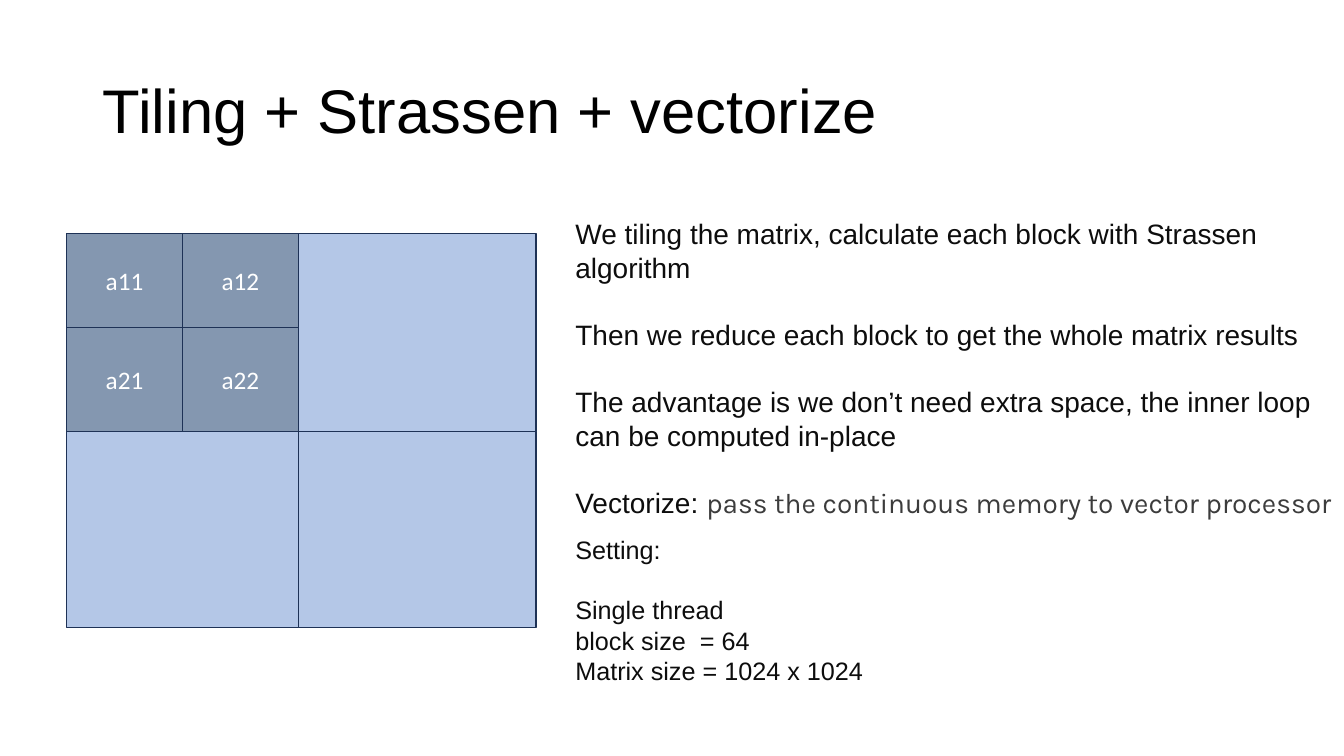
from dataclasses import dataclass
from itertools import pairwise, product

from pptx import Presentation
from pptx.dml.color import RGBColor
from pptx.enum.shapes import MSO_SHAPE as Preset
from pptx.enum.text import MSO_ANCHOR as Anchor, MSO_AUTO_SIZE as AutoSize, PP_ALIGN as Align
from pptx.slide import Slide
from pptx.text.text import _Paragraph as Paragraph
from pptx.util import Cm, Pt


@dataclass
class Grid:
    columns: list[float]
    rows: list[float]
    fill: str
    prefix: str = ""


@dataclass
class Line:
    text: str
    gap_lines: int = 0
    accent: str = ""


@dataclass
class Note:
    top: float
    width: float
    height: float
    size: int
    lines: list[Line]


NOTE_LEFT = 14.25
LINE_HEIGHT = 1.2

MATRIX_BLOCKS = Grid([1.68, 7.52, 13.51], [5.89, 10.87, 15.81], "B4C7E7")
INNER_BLOCKS = Grid([1.68, 4.6, 7.52], [5.89, 8.25, 10.87], "8497B0", "a")

NOTES = [
    Note(5.33, 19.65, 7.09, 20, [
        Line("We tiling the matrix, calculate each block with Strassen algorithm"),
        Line("Then we reduce each block to get the whole matrix results", 1),
        Line("The advantage is we don’t need extra space, the inner loop can be computed in-place", 1),
        Line("Vectorize: ", 1, "pass the continuous memory to vector processor"),
    ]),
    Note(13.34, 12.12, 4.11, 18, [
        Line("Setting:"),
        Line("Single thread", 1),
        Line("block size  = 64"),
        Line("Matrix size = 1024 x 1024"),
    ]),
]


def color(value: str) -> RGBColor:
    return RGBColor.from_string(value)


def write(paragraph: Paragraph, text: str, *, size: float, fill: str,
          font: str = "Arial", align: Align = Align.LEFT) -> None:
    paragraph.alignment = align
    run = paragraph.add_run()
    run.text = text
    run.font.size = Pt(size)
    run.font.name = font
    run.font.color.rgb = color(fill)


def draw_title(slide: Slide, text: str) -> None:
    title = slide.shapes.title
    title.left, title.top, title.width, title.height = Cm(2.34), Cm(1.02), Cm(21.16), Cm(3.68)
    title.text_frame.vertical_anchor = Anchor.MIDDLE
    paragraph = title.text_frame.paragraphs[0]
    paragraph.line_spacing = 0.9
    write(paragraph, text, size=44, fill="000000")


def draw_grid(slide: Slide, grid: Grid) -> None:
    cells = product(enumerate(pairwise(grid.rows), 1), enumerate(pairwise(grid.columns), 1))
    for (row, (top, bottom)), (column, (left, right)) in cells:
        block = slide.shapes.add_shape(
            Preset.RECTANGLE, Cm(left), Cm(top), Cm(right - left), Cm(bottom - top))
        block.shadow.inherit = False
        block.fill.solid()
        block.fill.fore_color.rgb = color(grid.fill)
        block.line.color.rgb = color("1E3256")
        block.line.width = Pt(1)
        if grid.prefix:
            block.text_frame.vertical_anchor = Anchor.MIDDLE
            write(block.text_frame.paragraphs[0], f"{grid.prefix}{row}{column}",
                  size=18, fill="FFFFFF", font="Calibri", align=Align.CENTER)


def draw_note(slide: Slide, note: Note) -> None:
    box = slide.shapes.add_textbox(Cm(NOTE_LEFT), Cm(note.top), Cm(note.width), Cm(note.height))
    frame = box.text_frame
    frame.word_wrap = True
    frame.auto_size = AutoSize.SHAPE_TO_FIT_TEXT
    pitch = note.size * LINE_HEIGHT
    for index, line in enumerate(note.lines):
        paragraph = frame.add_paragraph() if index else frame.paragraphs[0]
        paragraph.line_spacing = Pt(pitch)
        paragraph.space_before = Pt(pitch * line.gap_lines)
        write(paragraph, line.text, size=note.size, fill="0D0D0D")
        if line.accent:
            write(paragraph, line.accent, size=note.size, fill="3C3C3C", font="Karla")


def main() -> None:
    presentation = Presentation()
    presentation.slide_width, presentation.slide_height = Cm(33.87), Cm(19.05)
    slide = presentation.slides.add_slide(presentation.slide_layouts[5])
    draw_title(slide, "Tiling + Strassen + vectorize")
    for grid in (MATRIX_BLOCKS, INNER_BLOCKS):
        draw_grid(slide, grid)
    for note in NOTES:
        draw_note(slide, note)
    presentation.save("out.pptx")


if __name__ == "__main__":
    main()
